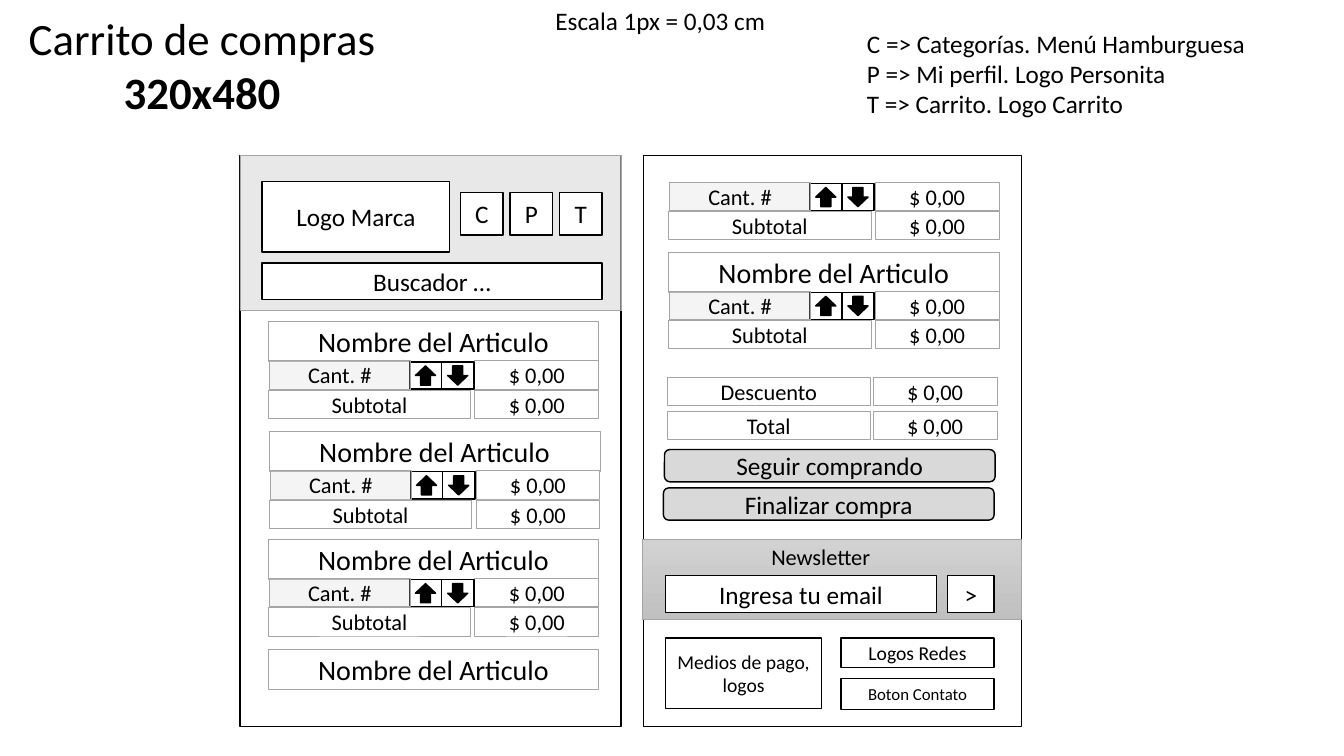
from dataclasses import dataclass, replace

from lxml import etree
from pptx import Presentation
from pptx.dml.color import RGBColor
from pptx.enum.shapes import MSO_SHAPE
from pptx.enum.text import MSO_ANCHOR, MSO_AUTO_SIZE, PP_ALIGN
from pptx.oxml.ns import qn
from pptx.util import Emu, Pt

PX = 9144  # 100 px to the inch
FONT = "Calibri"
BLACK, WHITE, GREY, SILVER = "000000", "FFFFFF", "A5A5A5", "D9D9D9"
RECT, ROUND, DOWN = MSO_SHAPE.RECTANGLE, MSO_SHAPE.ROUNDED_RECTANGLE, MSO_SHAPE.DOWN_ARROW
CENTER, LEFT = PP_ALIGN.CENTER, PP_ALIGN.LEFT
MIDDLE, TOP = MSO_ANCHOR.MIDDLE, MSO_ANCHOR.TOP
FIT, FIXED = MSO_AUTO_SIZE.SHAPE_TO_FIT_TEXT, MSO_AUTO_SIZE.NONE


@dataclass
class Box:
    x: int
    y: int
    w: int
    h: int
    text: str = ""
    size: int = 18
    line: str = BLACK
    fill: str = WHITE
    alpha: int = 100
    kind: int = RECT
    turn: int = 0


@dataclass
class Label:
    x: int
    y: int
    w: int
    h: int
    lines: list[str]
    size: int = 18
    align: int = LEFT
    wrap: bool = False


@dataclass
class Item:
    """A cart article; y is the top of its name row."""
    x: int
    y: int
    name: bool = True
    rows: bool = True


def px(n: int) -> Emu:
    return Emu(n * PX)


def rgb(code: str) -> RGBColor:
    return RGBColor.from_string(code)


def style(frame, size: int, align: int) -> None:
    for para in frame.paragraphs:
        para.alignment = align
        para.font.size = Pt(size)
        para.font.name = FONT
        para.font.color.rgb = rgb(BLACK)


def draw(shapes, box: Box):
    shape = shapes.add_shape(box.kind, px(box.x), px(box.y), px(box.w), px(box.h))
    shape.shadow.inherit = False
    shape.rotation = box.turn
    shape.fill.solid()
    shape.fill.fore_color.rgb = rgb(box.fill)
    if box.alpha < 100:
        tint = shape.fill._xPr.find(qn("a:solidFill"))[0]
        etree.SubElement(tint, qn("a:alpha"), val=str(box.alpha * 1000))
    shape.line.color.rgb = rgb(box.line)
    shape.line.width = Pt(0.5 if box.line == GREY else 1)
    if box.text:
        frame = shape.text_frame
        frame.text = box.text
        frame.word_wrap = True
        frame.vertical_anchor = MIDDLE
        style(frame, box.size, CENTER)
    return shape


def write(shape, label: Label) -> None:
    """Place a text shape and fill it with the label's lines."""
    shape.left, shape.top = px(label.x), px(label.y)
    shape.width, shape.height = px(label.w), px(label.h)
    frame = shape.text_frame
    frame.text = "\n".join(label.lines)
    frame.word_wrap = label.wrap
    frame.vertical_anchor = TOP
    style(frame, label.size, label.align)


def cell(x: int, y: int, w: int, text: str) -> Box:
    return Box(x, y, w, 28, text, 16, GREY)


def step(shapes, x: int, y: int, turn: int) -> None:
    """Draw a quantity button with its arrow, turned to point up or down."""
    group = shapes.add_group_shape()
    draw(group.shapes, Box(x, y, 32, 27))
    draw(group.shapes, Box(x + 6, y + 4, 20, 19, fill=BLACK, kind=DOWN, turn=turn))


def show(shapes, item: Item) -> None:
    x, y = item.x, item.y
    if item.name:
        draw(shapes, Box(x, y, 328, 40, "Nombre del Articulo", 20, GREY))
    if item.rows:
        draw(shapes, cell(x + 205, y + 39, 123, "$ 0,00"))
        step(shapes, x + 140, y + 40, 180)
        draw(shapes, replace(cell(x + 1, y + 39, 140, "Cant. #"), fill=SILVER, alpha=28))
        step(shapes, x + 172, y + 40, 0)
        draw(shapes, cell(x + 205, y + 68, 123, "$ 0,00"))
        draw(shapes, cell(x, y + 68, 201, "Subtotal"))


TITLE = Label(17, 6, 367, 118, ["Carrito de compras", "320x480"], 32, CENTER)
LABELS = [
    Label(850, 23, 400, 101, ["C => Categorías. Menú Hamburguesa",
                              "P => Mi perfil. Logo Personita",
                              "T => Carrito. Logo Carrito"]),
    Label(541, 0, 231, 40, ["Escala 1px = 0,03 cm"]),
    Label(650, 534, 328, 37, ["Newsletter"], 16, CENTER, True),
]
BAND = Box(637, 535, 376, 80, line=GREY)
PANELS = [
    Box(238, 154, 378, 567),
    Box(238, 154, 378, 154, line=GREY, fill=SILVER, alpha=58),
]
HEADER = [
    Box(260, 180, 186, 70, "Logo Marca"),
    *(Box(457 + 49 * i, 191, 42, 42, mark) for i, mark in enumerate("CPT")),
    Box(260, 261, 337, 36, "Buscador …"),
]
ITEMS = [
    Item(266, 319), Item(267, 428), Item(266, 535), Item(266, 644, rows=False),
    Item(663, 142, name=False), Item(663, 250),
]
TOTALS = [
    box
    for y, name in ((374, "Descuento"), (408, "Total"))
    for box in (cell(662, y, 201, name), cell(866, y, 123, "$ 0,00"))
]
BUTTONS = [
    Box(659, 446, 328, 32, "Seguir comprando", fill=SILVER, kind=ROUND),
    Box(658, 484, 328, 32, "Finalizar compra", fill=SILVER, kind=ROUND),
]
FOOTER = [
    Box(660, 571, 269, 37, "Ingresa tu email"),
    Box(940, 571, 46, 37, ">"),
    Box(660, 633, 155, 70, "Medios de pago, logos", 14),
    Box(834, 633, 152, 29, "Logos Redes", 14),
    Box(834, 673, 152, 31, "Boton Contato", 12),
]


def main() -> None:
    deck = Presentation()
    deck.slide_width, deck.slide_height = px(1333), px(750)
    slide = deck.slides.add_slide(deck.slide_layouts[5])
    shapes = slide.shapes

    write(shapes.title, TITLE)
    shapes.title.text_frame.auto_size = FIXED
    shapes.title.text_frame.paragraphs[1].font.bold = True

    draw(shapes, Box(638, 154, 375, 567))
    band = draw(shapes, BAND)
    band.fill.gradient()
    band.fill.gradient_angle = 270
    for stop, code in zip(band.fill.gradient_stops, ("D2D2D2", "C0C0C0")):
        stop.color.rgb = rgb(code)

    for box in PANELS + HEADER:
        draw(shapes, box)
    for item in ITEMS:
        show(shapes, item)
    for box in TOTALS + BUTTONS + FOOTER:
        draw(shapes, box)
    for label in LABELS:
        text = shapes.add_textbox(0, 0, 0, 0)
        write(text, label)
        text.text_frame.auto_size = FIT

    deck.save("out.pptx")


if __name__ == "__main__":
    main()
